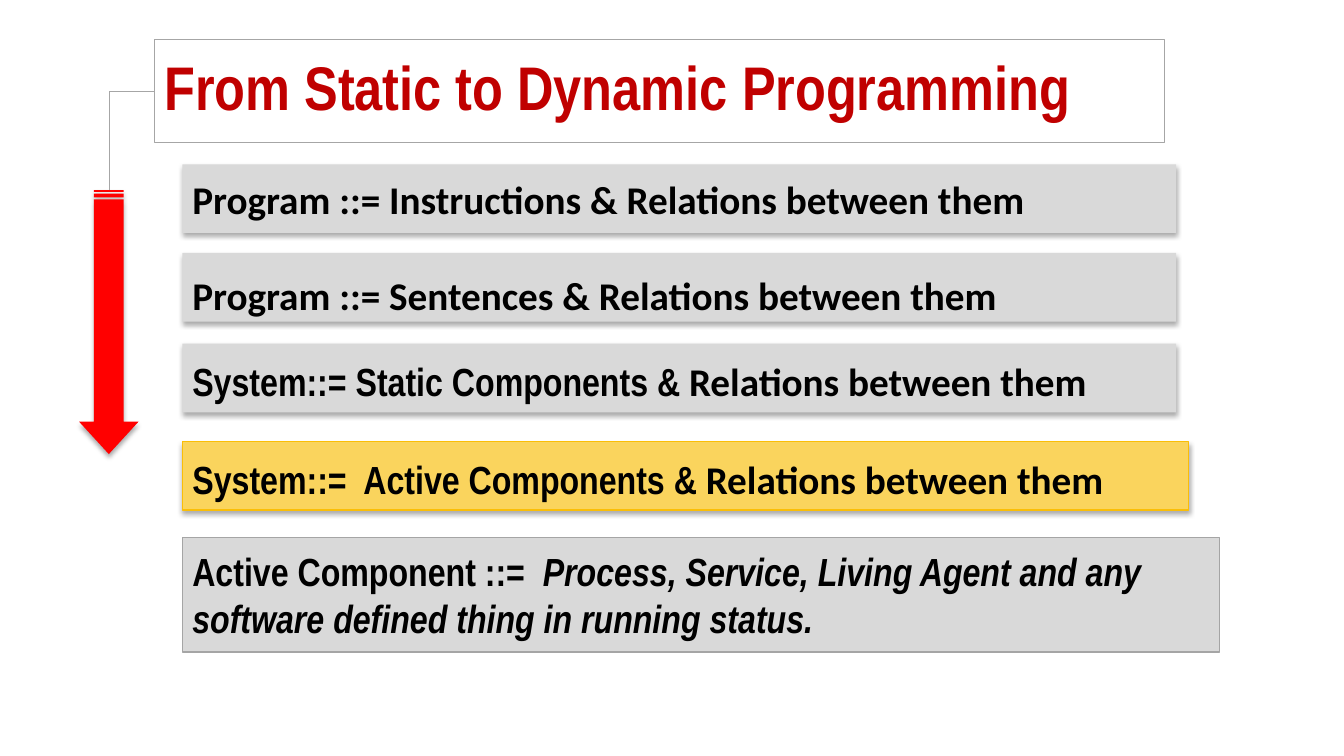
from lxml import etree
from pptx import Presentation
from pptx.dml.color import RGBColor
from pptx.enum.shapes import MSO_CONNECTOR, MSO_SHAPE
from pptx.enum.text import MSO_ANCHOR, PP_ALIGN
from pptx.oxml.ns import qn
from pptx.util import Pt

RECT = MSO_SHAPE.RECTANGLE
STRIPED_ARROW = MSO_SHAPE.STRIPED_RIGHT_ARROW
ELBOW = MSO_CONNECTOR.ELBOW
MIDDLE = MSO_ANCHOR.MIDDLE
LEFT = PP_ALIGN.LEFT

COLORS = {
    "title": "C00000", "text": "000000", "shadow": "000000",
    "grey": "D9D9D9", "yellow": "FAD45D", "arrow": "FF0000",
    "yellow edge": "FABE07", "grey edge": "A5A5A5", "thin edge": "A6A6A6",
}
NARROW, CALIBRI = "Arial Narrow", "Calibri"
RELATIONS = ("Relations between them", CALIBRI, False)


def add_block(kind, box, fill=None, edge=None, edge_width=1, shadow=False):
    """Add a preset shape with flat fill, optional edge and soft drop shadow."""
    block = slide.shapes.add_shape(kind, *[Pt(v) for v in box])
    block.shadow.inherit = False
    if fill:
        block.fill.solid()
        block.fill.fore_color.rgb = RGBColor.from_string(COLORS[fill])
    else:
        block.fill.background()
    if edge:
        block.line.color.rgb = RGBColor.from_string(COLORS[edge])
        block.line.width = Pt(edge_width)
    else:
        block.line.fill.background()
    if shadow:
        effects = block._element.spPr.find(qn("a:effectLst"))
        outer = etree.SubElement(effects, qn("a:outerShdw"), blurRad=str(Pt(3.5)),
                                 dist=str(Pt(2.2)), dir="5400000", rotWithShape="0")
        tint = etree.SubElement(outer, qn("a:srgbClr"), val=COLORS["shadow"])
        etree.SubElement(tint, qn("a:alpha"), val="32000")
    return block


def write(block, runs, size, color, drop=0):
    """Write bold left-aligned runs, lowered by half of drop."""
    frame = block.text_frame
    frame.word_wrap = True
    frame.vertical_anchor = MIDDLE
    if drop:
        frame.margin_top, frame.margin_bottom = Pt(drop), 0
    line = frame.paragraphs[0]
    line.alignment = LEFT
    for text, font, italic in runs:
        run = line.add_run()
        run.text = text
        style = {"name": font, "size": Pt(size), "bold": True, "italic": italic}
        for key, value in style.items():
            setattr(run.font, key, value)
        run.font.color.rgb = RGBColor.from_string(COLORS[color])
    return line


prs = Presentation()
prs.slide_width, prs.slide_height = Pt(960), Pt(540)
slide = prs.slides.add_slide(prs.slide_layouts[6])

# Definitions: top, width, height, fill, edge, shadow, drop, runs
definitions = [
    (117.4, 709.9, 49, "grey", None, True, 0,
     [("Program ::= Instructions & ", CALIBRI, False), RELATIONS]),
    (180.7, 709.9, 49, "grey", None, True, 10.7,
     [("Program ::= Sentences & ", CALIBRI, False), RELATIONS]),
    (245.5, 709.9, 49, "grey", None, True, 4,
     [("System::= Static Components & ", NARROW, False), RELATIONS]),
    (315.4, 718.6, 49, "yellow", "yellow edge", True, 4,
     [("System::=  Active Components & ", NARROW, False), RELATIONS]),
    (383.8, 740.9, 82, "grey", "grey edge", False, 0,
     [("Active Component ::=  ", NARROW, False),
      ("Process, Service, Living Agent and any software defined thing "
       "in running status.", NARROW, True)]),
]
for top, width, height, fill, edge, shadow, drop, runs in definitions:
    definition = add_block(RECT, (130.3, top, width, height), fill, edge, shadow=shadow)
    write(definition, runs, 28, "text", drop)

title = add_block(RECT, (110.2, 28.1, 721.4, 73.4), edge="thin edge", edge_width=0.75)
heading = write(title, [("From Static to Dynamic Programming", NARROW, False)], 44, "title")
heading.line_spacing = 0.9

progress = add_block(STRIPED_ARROW, (-16.6, 208.8, 188.6, 42.5), "arrow", shadow=True)
progress.rotation = 90
progress.adjustments[0] = 0.5
progress.adjustments[1] = 0.545

# One-bend link from the title's left side down to the arrow
link = slide.shapes.add_connector(ELBOW, Pt(110.2), Pt(65.5), Pt(78.5), Pt(135.6))
link.line.color.rgb = RGBColor.from_string(COLORS["thin edge"])
link.line.width = Pt(0.5)
link_properties = link._element.spPr
link_properties.find(qn("a:prstGeom")).set("prst", "bentConnector2")
etree.SubElement(link_properties, qn("a:effectLst"))

prs.save("out.pptx")
